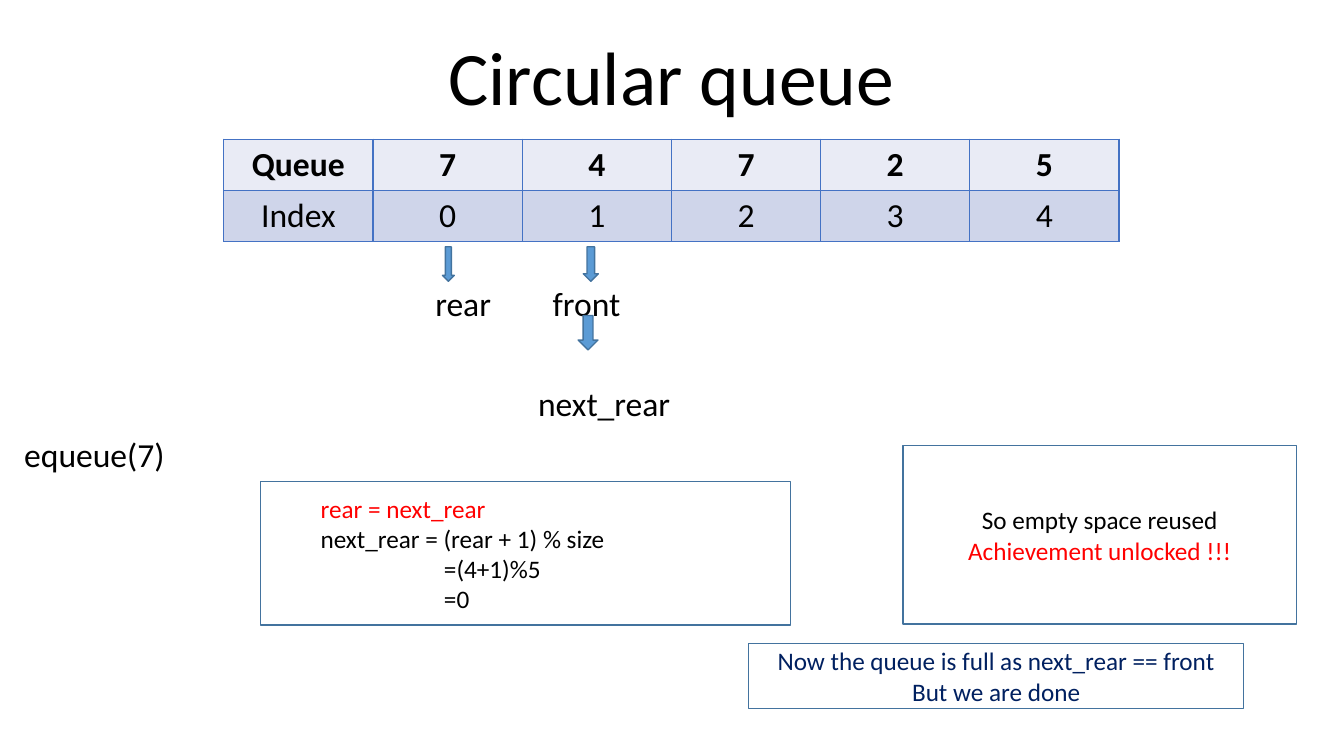
import pptx
import pptx.util
import pptx.dml.color
import pptx.enum.shapes
import pptx.enum.text
import pptx.oxml
import pptx.oxml.ns
from dataclasses import dataclass

Cm = pptx.util.Cm
Pt = pptx.util.Pt
Color = pptx.dml.color.RGBColor.from_string
Align = pptx.enum.text.PP_ALIGN
Anchor = pptx.enum.text.MSO_ANCHOR
Shape = pptx.enum.shapes.MSO_SHAPE


@dataclass(frozen=True)
class Theme:
    """Colours, font and type sizes of the slide."""
    font: str = "Calibri"
    title_size: int = 54
    body_size: int = 24
    note_size: int = 18
    black: str = "000000"
    white: str = "FFFFFF"
    red: str = "FF0000"
    navy: str = "002060"
    arrow: str = "5B9BD5"
    outline: str = "43739E"
    grid: str = "4472C4"
    queue_row: str = "E9EBF5"
    index_row: str = "CFD5EA"


theme = Theme()


def write(para, text, size, color=theme.black, align=Align.LEFT, bold=False):
    """Put styled text into one paragraph."""
    para.text = text
    para.alignment = align
    para.font.name = theme.font
    para.font.size = Pt(size)
    para.font.bold = bold
    para.font.color.rgb = Color(color)


def add_outlined(page, kind, place, fill):
    """Add a flat shape with the common outline; place is in centimetres."""
    shape = page.shapes.add_shape(kind, *map(Cm, place))
    shape.shadow.inherit = False
    shape.fill.solid()
    shape.fill.fore_color.rgb = Color(fill)
    shape.line.color.rgb = Color(theme.outline)
    shape.line.width = Pt(1)
    return shape


deck = pptx.Presentation()
deck.slide_width, deck.slide_height = Cm(33.87), Cm(19.05)
page = deck.slides.add_slide(deck.slide_layouts[6])

# Title
title = page.shapes.add_textbox(Cm(4.22), Cm(0.69), Cm(25.4), Cm(2.51)).text_frame
title.word_wrap = True
title.vertical_anchor = Anchor.BOTTOM
write(title.paragraphs[0], "Circular queue", theme.title_size, align=Align.CENTER)
title.paragraphs[0].line_spacing = 0.9

# Pointer names and the call, on lines of equal pitch
first_line, line_pitch = 7.12, 1.27
labels = [
    ("rear", 10.97, 0),
    ("front", 13.93, 0),
    ("next_rear", 13.56, 2),
    ("equeue(7)", 0.61, 3),
]
for text, left, line in labels:
    top = first_line + line * line_pitch
    frame = page.shapes.add_textbox(Cm(left), Cm(top), Cm(4.5), Cm(1.03)).text_frame
    frame.word_wrap = True
    frame.margin_left = frame.margin_right = frame.margin_top = frame.margin_bottom = 0
    write(frame.paragraphs[0], text, theme.body_size)

# Queue table
rows = [
    (["Queue", "7", "4", "7", "2", "5"], theme.queue_row, True),
    (["Index", "0", "1", "2", "3", "4"], theme.index_row, False),
]
column_width, row_height = 3.76, 1.29
table = page.shapes.add_table(
    2, 6, Cm(5.64), Cm(3.51), Cm(6 * column_width), Cm(2 * row_height)
).table
for column in table.columns:
    column.width = Cm(column_width)
for row_index, (values, fill, bold) in enumerate(rows):
    table.rows[row_index].height = Cm(row_height)
    for column_index, value in enumerate(values):
        cell = table.cell(row_index, column_index)
        write(cell.text_frame.paragraphs[0], value, theme.body_size,
              align=Align.CENTER, bold=bold)
        properties = cell._tc.get_or_add_tcPr()
        for side in ("lnL", "lnR", "lnT", "lnB"):
            properties.append(pptx.oxml.parse_xml(
                f'<a:{side} {pptx.oxml.ns.nsdecls("a")} w="{Pt(1)}"><a:solidFill>'
                f'<a:srgbClr val="{theme.grid}"/></a:solidFill></a:{side}>'))
        cell.fill.solid()
        cell.fill.fore_color.rgb = Color(fill)

# Arrows to front, next_rear and rear
for left, top, width in [(14.7, 6.22, 0.38), (14.57, 7.95, 0.5), (11.15, 6.22, 0.3)]:
    add_outlined(page, Shape.DOWN_ARROW, (left, top, width, 0.87), theme.arrow)

# Notes: place, alignment, then each line with its colour and indent
step_indent, sum_indent = 1.27, 4.38
notes = [
    ((6.56, 12.14, 13.36, 3.61), Align.LEFT, [
        ("rear = next_rear", theme.red, step_indent),
        ("next_rear = (rear + 1) % size", theme.black, step_indent),
        ("=(4+1)%5", theme.black, sum_indent),
        ("=0", theme.black, sum_indent),
    ]),
    ((22.76, 11.23, 9.91, 4.5), Align.CENTER, [
        ("So empty space reused", theme.black, 0),
        ("Achievement unlocked !!!", theme.red, 0),
    ]),
    ((18.87, 16.21, 12.47, 1.65), Align.CENTER, [
        ("Now the queue is full as next_rear == front", theme.navy, 0),
        ("But we are done", theme.navy, 0),
    ]),
]
for place, align, lines in notes:
    frame = add_outlined(page, Shape.RECTANGLE, place, theme.white).text_frame
    frame.word_wrap = True
    frame.vertical_anchor = Anchor.MIDDLE
    for number, (text, color, indent) in enumerate(lines):
        para = frame.add_paragraph() if number else frame.paragraphs[0]
        write(para, text, theme.note_size, color, align)
        para._p.get_or_add_pPr().set("marL", str(Cm(indent)))

deck.save("out.pptx")
